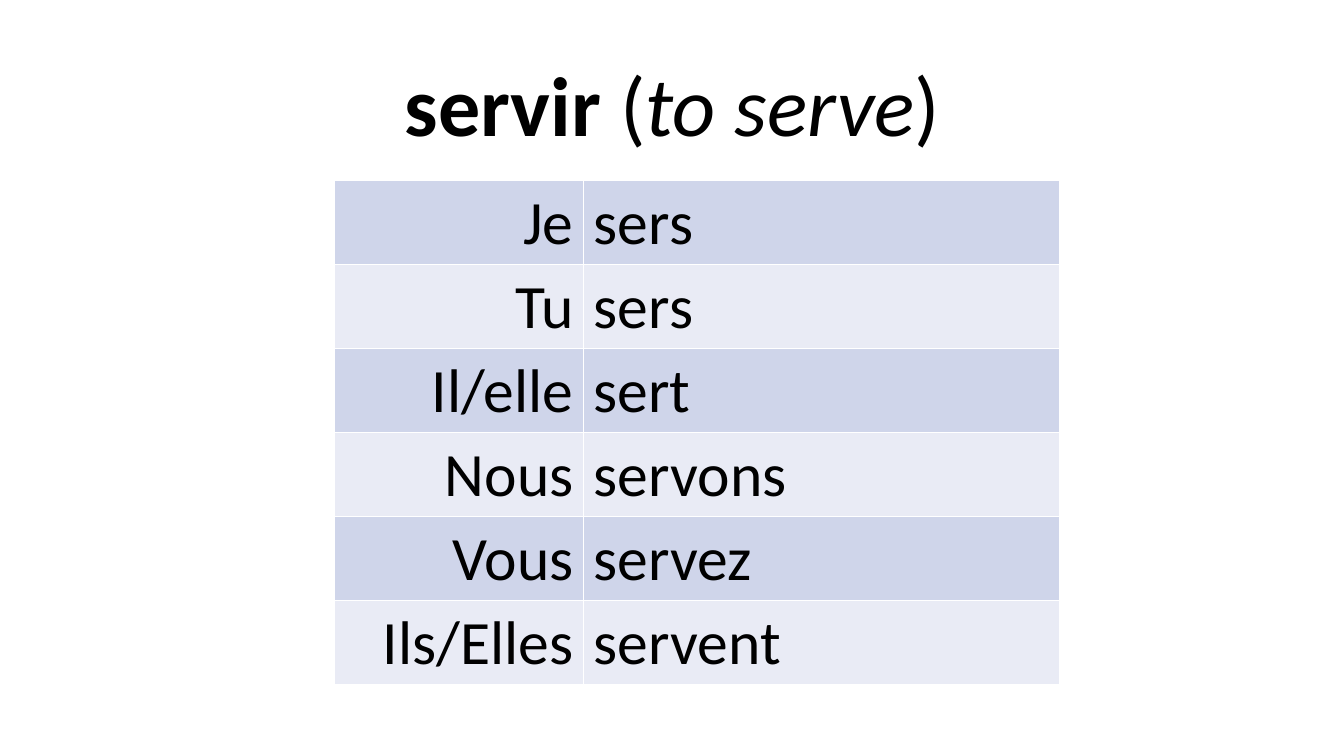
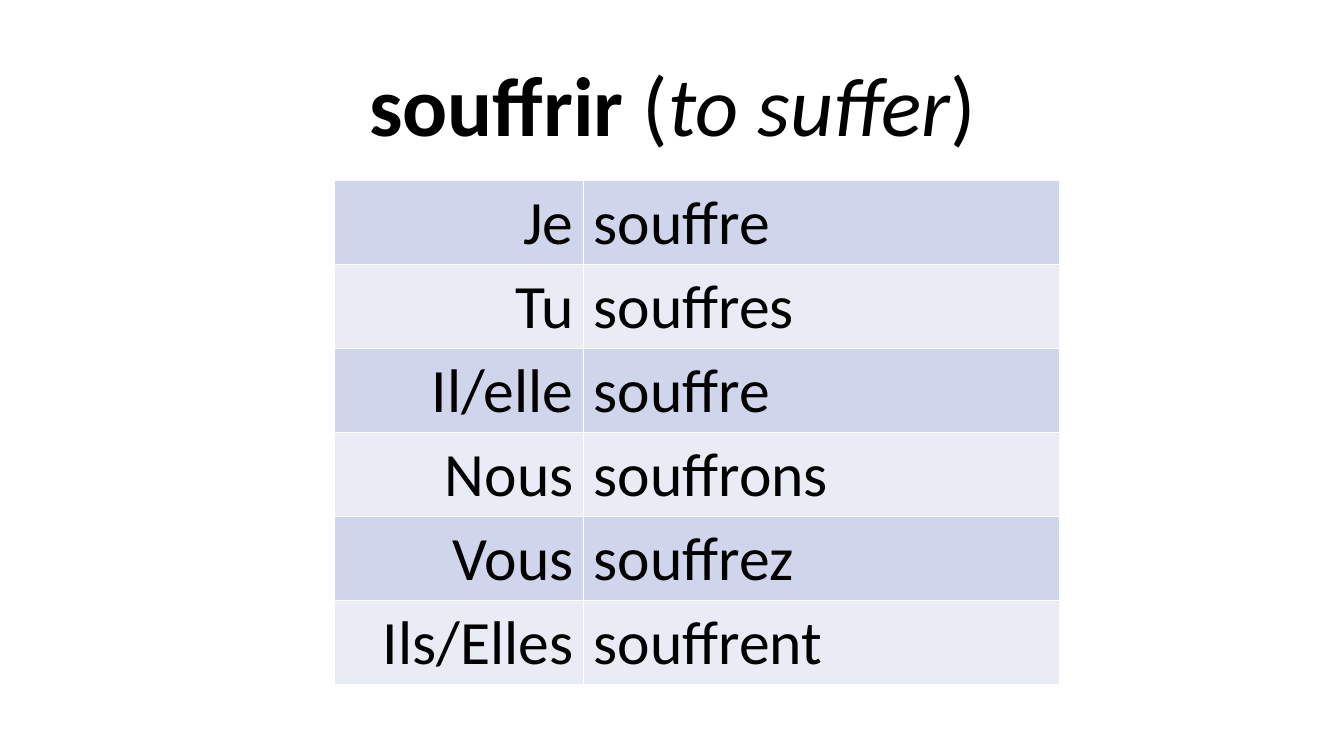
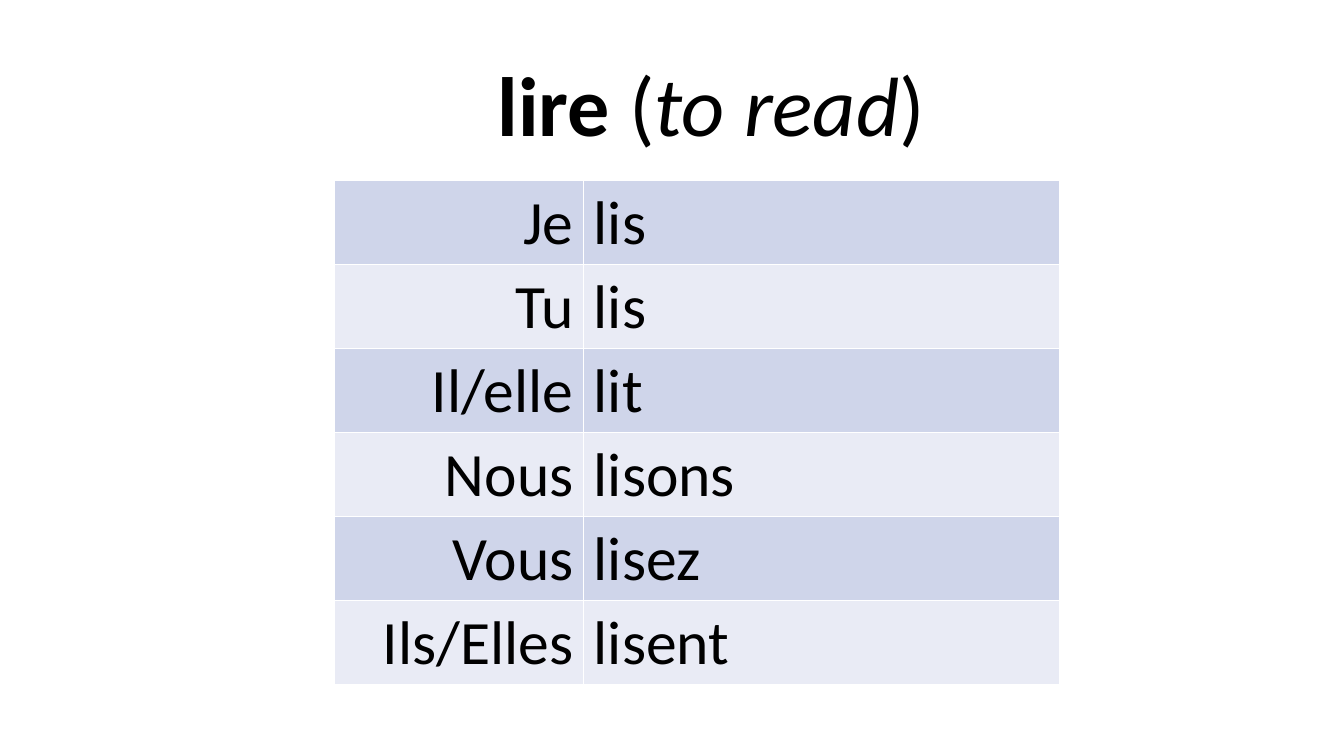
"""Build three French verb conjugation slides, each with a title and a table."""
from pptx import Presentation
from pptx.dml.color import RGBColor
from pptx.enum.text import MSO_ANCHOR, PP_ALIGN
from pptx.util import Inches, Pt

LEFT, CENTER, RIGHT = PP_ALIGN.LEFT, PP_ALIGN.CENTER, PP_ALIGN.RIGHT
BOTTOM = MSO_ANCHOR.BOTTOM

BLACK = "000000"
BANDS = ["CFD5EA", "E9EBF5"]
PRONOUNS = ["Je", "Tu", "Il/elle", "Nous", "Vous", "Ils/Elles"]
COLUMN_WIDTHS = [2.47, 4.72]
COLUMN_ALIGNMENTS = [RIGHT, LEFT]
TITLE_FORMAT = {"name": "Calibri", "size": Pt(60)}
CELL_FORMAT = {"name": "Calibri", "size": Pt(44)}

VERBS = [
    ("servir", "to serve", 10,
     ["sers", "sers", "sert", "servons", "servez", "servent"]),
    ("souffrir", "to suffer", 10,
     ["souffre", "souffres", "souffre", "souffrons", "souffrez", "souffrent"]),
    ("lire", "to read", 10.77,
     ["lis", "lis", "lit", "lisons", "lisez", "lisent"]),
]


def color(hex_value):
    """Turn a hex string into a colour."""
    return RGBColor.from_string(hex_value)


def add_run(paragraph, text, formats):
    """Add a black run of text with the given font values."""
    run = paragraph.add_run()
    run.text = text
    for attribute, value in formats.items():
        setattr(run.font, attribute, value)
    run.font.color.rgb = color(BLACK)


prs = Presentation()
prs.slide_width, prs.slide_height = Inches(13.33), Inches(7.5)
blank = prs.slide_layouts[6]

for infinitive, meaning, title_width, forms in VERBS:
    slide = prs.slides.add_slide(blank)

    title = slide.shapes.add_textbox(
        Inches(1.67), Inches(0.44), Inches(title_width), Inches(1.14)).text_frame
    title.word_wrap = True
    title.vertical_anchor = BOTTOM
    heading = title.paragraphs[0]
    heading.alignment = CENTER
    heading.line_spacing = 0.9
    for text, bold, italic in [(infinitive, True, False), (" (", False, False),
                               (meaning, False, True), (")", False, False)]:
        add_run(heading, text, {**TITLE_FORMAT, "bold": bold, "italic": italic})

    conjugation = slide.shapes.add_table(
        len(PRONOUNS), len(COLUMN_WIDTHS), Inches(3.32), Inches(1.79),
        Inches(sum(COLUMN_WIDTHS)), Inches(5)).table
    conjugation.first_row = False
    for column, width in zip(conjugation.columns, COLUMN_WIDTHS):
        column.width = Inches(width)
    for row, entries in enumerate(zip(PRONOUNS, forms)):
        for col, entry in enumerate(entries):
            cell = conjugation.cell(row, col)
            cell.fill.solid()
            cell.fill.fore_color.rgb = color(BANDS[row % 2])
            paragraph = cell.text_frame.paragraphs[0]
            paragraph.alignment = COLUMN_ALIGNMENTS[col]
            add_run(paragraph, entry, CELL_FORMAT)

prs.save("out.pptx")
